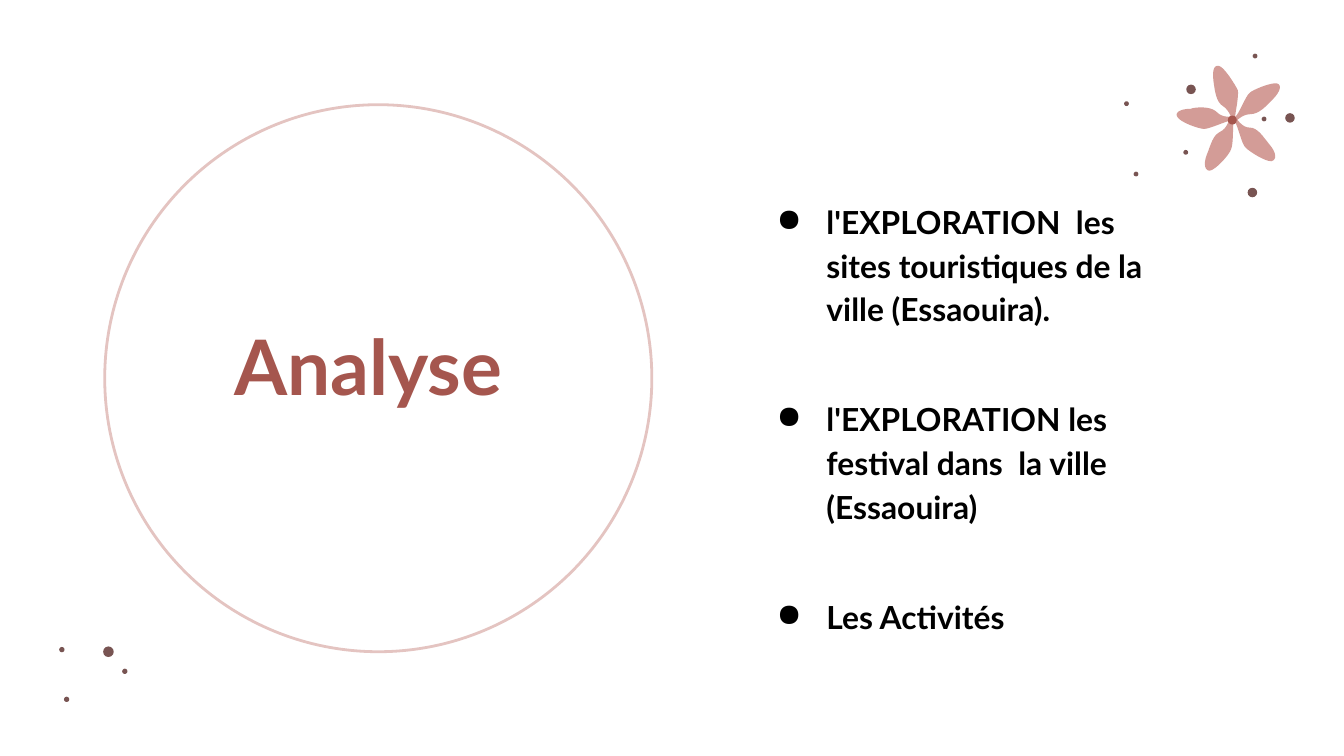
import lxml.etree
import pptx
import pptx.dml.color
import pptx.enum.shapes
import pptx.enum.text
import pptx.oxml.ns
import pptx.util
from pptx.util import Cm

FONT = "Lato"
RUST, ROSE, PALE_ROSE, PLUM, BLACK = "A5564E", "D39C97", "E4C4C1", "785452", "000000"

TOPICS = [
    "l'EXPLORATION  les sites touristiques de la ville (Essaouira).",
    "l'EXPLORATION les festival dans  la ville (Essaouira)",
    "Les Activités",
]

# Dots: centre x, centre y, diameter, in cm
DOTS = [
    (2.05, 12.32, 0.2), (2.36, 12.69, 0.1), (1.17, 12.28, 0.1), (1.26, 13.22, 0.1),
    (24.38, 2.23, 0.18), (23.67, 3.64, 0.18), (22.51, 1.69, 0.18),
    (23.72, 1.06, 0.09), (21.29, 1.96, 0.09), (22.41, 2.88, 0.09), (21.47, 3.29, 0.09),
]
INNER_DOT = (23.89, 2.25, 0.09)
FLOWER_HEART = (23.29, 2.27, 0.17)

# Petals: a start point, then three points per Bezier curve, in 1/100 inch
PETAL_UNIT = Cm(2.54) / 100
PETALS = [
    [(906, 49), (903, 49), (902, 53), (903, 61), (904, 68), (905, 76), (910, 79),
     (915, 82), (917, 90), (917, 90), (917, 90), (920, 90), (919, 87),
     (919, 85), (922, 71), (921, 67), (919, 63), (911, 50), (907, 49)],
    [(949, 62), (944, 62), (932, 67), (930, 69), (927, 71), (922, 85), (919, 87),
     (917, 88), (919, 91), (919, 91), (919, 91), (924, 85), (930, 85),
     (937, 85), (942, 79), (947, 74), (953, 68), (954, 63), (950, 62)],
    [(915, 88), (915, 88), (913, 96), (908, 98), (902, 101), (901, 108), (898, 115),
     (895, 123), (897, 127), (900, 127), (904, 127), (915, 115), (916, 111),
     (918, 107), (917, 93), (918, 91), (919, 89), (915, 88), (915, 88)],
    [(894, 80), (892, 80), (889, 80), (886, 81), (878, 81), (874, 84), (876, 87),
     (878, 91), (892, 96), (896, 96), (900, 96), (913, 90), (915, 90),
     (919, 90), (918, 87), (918, 87), (918, 87), (917, 87), (916, 87),
     (914, 87), (909, 87), (906, 84), (903, 81), (899, 80), (894, 80)],
    [(920, 88), (920, 88), (917, 89), (919, 91), (921, 93), (924, 108), (927, 110),
     (930, 113), (941, 120), (946, 120), (950, 119), (950, 114), (945, 108),
     (940, 102), (936, 95), (930, 95), (924, 95), (920, 88), (920, 88)],
]


def rgb(color):
    return pptx.dml.color.RGBColor.from_string(color)


def paint(shape, fill=None, line=None):
    shape.shadow.inherit = False
    if fill:
        shape.fill.solid()
        shape.fill.fore_color.rgb = rgb(fill)
    else:
        shape.fill.background()
    if line:
        shape.line.color.rgb = rgb(line)
        shape.line.width = pptx.util.Pt(1.5)
    else:
        shape.line.fill.background()


def add_circle(slide, x, y, diameter, fill=None, line=None):
    """Draw a circle around the centre (x, y), in cm."""
    circle = slide.shapes.add_shape(
        pptx.enum.shapes.MSO_SHAPE.OVAL,
        Cm(x - diameter / 2), Cm(y - diameter / 2), Cm(diameter), Cm(diameter))
    paint(circle, fill, line)


def bezier_points(points, steps=8):
    """Turn a chain of cubic Bezier curves into points along it."""
    for i in range(0, len(points) - 1, 3):
        curve = points[i:i + 4]
        for step in range(1, steps + 1):
            t = step / steps
            weights = ((1 - t) ** 3, 3 * t * (1 - t) ** 2, 3 * t ** 2 * (1 - t), t ** 3)
            yield tuple(PETAL_UNIT * sum(w * p[axis] for w, p in zip(weights, curve))
                        for axis in (0, 1))


def add_petal(slide, points):
    start_x, start_y = points[0]
    outline = slide.shapes.build_freeform(start_x * PETAL_UNIT, start_y * PETAL_UNIT)
    outline.add_line_segments(list(bezier_points(points)), close=True)
    paint(outline.convert_to_shape(), ROSE)


def format_frame(frame):
    frame.word_wrap = True
    frame.auto_size = pptx.enum.text.MSO_AUTO_SIZE.NONE
    frame.vertical_anchor = pptx.enum.text.MSO_ANCHOR.MIDDLE
    frame.margin_left = frame.margin_right = Cm(0.25)
    frame.margin_top = frame.margin_bottom = Cm(0.25)


def format_font(paragraph, size, color):
    paragraph.font.name = FONT
    paragraph.font.size = pptx.util.Pt(size)
    paragraph.font.bold = True
    paragraph.font.color.rgb = rgb(color)


def add_title(slide, text):
    title = slide.shapes.title
    title.left, title.top, title.width, title.height = Cm(3.1), Cm(6.32), Cm(8.08), Cm(1.14)
    format_frame(title.text_frame)
    title.text_frame.text = text
    heading = title.text_frame.paragraphs[0]
    heading.alignment = pptx.enum.text.PP_ALIGN.CENTER
    format_font(heading, 41, RUST)


def add_bullet(paragraph):
    properties = paragraph._p.get_or_add_pPr()
    properties.set("marL", str(Cm(1.27)))
    properties.set("indent", str(Cm(-0.94)))
    bullet = lxml.etree.SubElement(properties, pptx.oxml.ns.qn("a:buChar"))
    bullet.set("char", "●")


def add_topics(slide, topics):
    box = slide.shapes.add_textbox(Cm(14.1), Cm(6.32), Cm(8.33), Cm(3.1))
    frame = box.text_frame
    format_frame(frame)
    for i, topic in enumerate(topics):
        item = frame.add_paragraph() if i else frame.paragraphs[0]
        item.text = topic
        add_bullet(item)
        item.line_spacing = 1.15
        if i:
            item.space_before = pptx.util.Pt(35.5)
        format_font(item, 17, BLACK)


def main():
    deck = pptx.Presentation()
    deck.slide_width, deck.slide_height = Cm(25.4), Cm(14.29)
    slide = deck.slides.add_slide(deck.slide_layouts[5])

    # Circled title and topic list
    add_circle(slide, 7.15, 7.15, 10.34, line=PALE_ROSE)
    add_title(slide, "Analyse ")
    add_topics(slide, TOPICS)

    # Scattered dots
    for dot in DOTS + [INNER_DOT]:
        add_circle(slide, *dot, fill=PLUM)

    # Flower
    for petal in PETALS:
        add_petal(slide, petal)
    add_circle(slide, *FLOWER_HEART, fill=RUST)

    deck.save("out.pptx")


if __name__ == "__main__":
    main()
